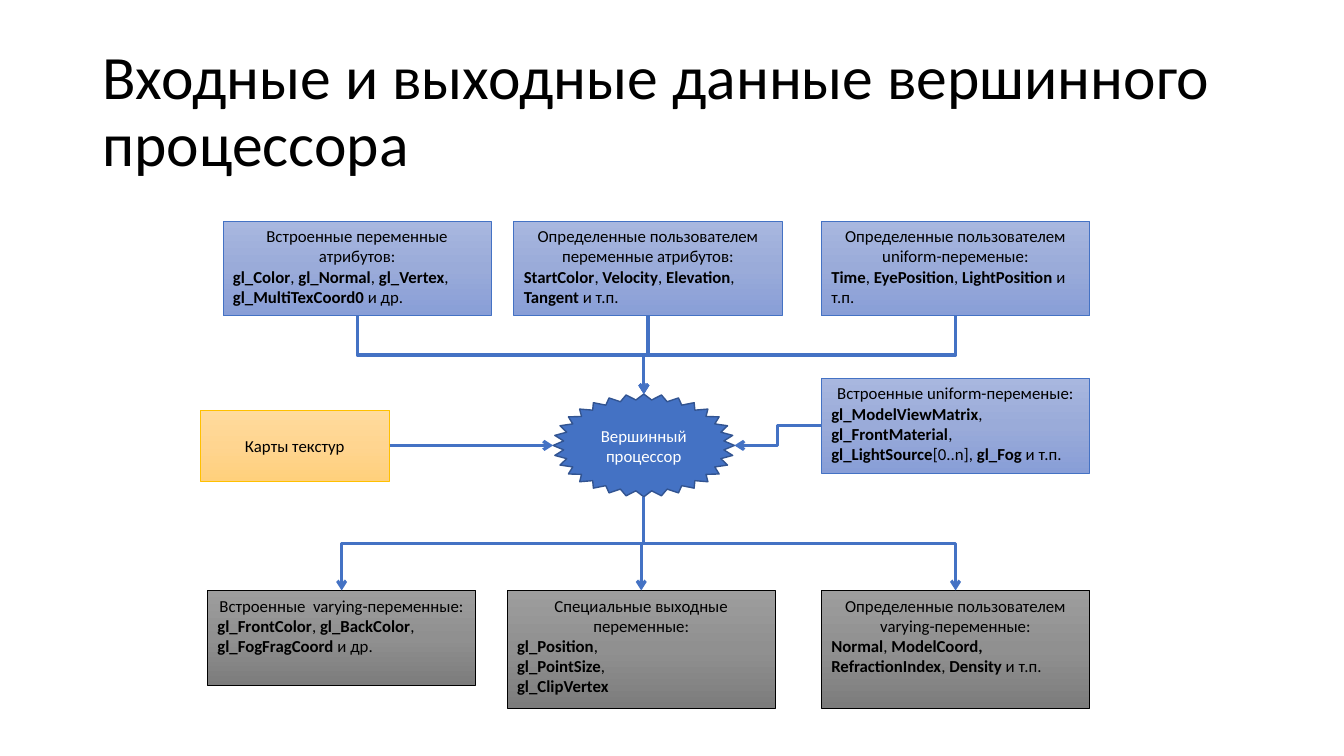
import copy

import pptx
import pptx.dml.color
import pptx.enum.shapes
import pptx.enum.text
import pptx.oxml.ns
import pptx.oxml.xmlchemy
import pptx.util

Cm = pptx.util.Cm
Pt = pptx.util.Pt
SHAPES = pptx.enum.shapes.MSO_SHAPE
ALIGN = pptx.enum.text.PP_ALIGN
ANCHOR = pptx.enum.text.MSO_ANCHOR
qn = pptx.oxml.ns.qn
new_element = pptx.oxml.xmlchemy.OxmlElement

# Colours: gradient from top to bottom, then outline
BLUE = {"stops": ("A8B7DF", "9AABD9", "889ED7"), "line": "4472C4"}
GREY = {"stops": ("9D9D9D", "909090", "7C7C7C"), "line": "000000"}
GOLD = {"stops": ("FFDB9E", "FFD590", "FFD07C"), "line": "FFC000"}
ACCENT = "4472C4"

BOX_WIDTH, BOX_HEIGHT, TALL_HEIGHT = 6.76, 2.39, 2.97
INPUT_TOP, UNIFORM_TOP, OUTPUT_TOP = 5.57, 9.53, 14.88
RIGHT_COLUMN = 20.7

# Left, height, style, heading, lines; asterisks enclose bold text
INPUTS = [
    (5.62, BOX_HEIGHT, BLUE, "Встроенные переменные атрибутов:",
     ["*gl_Color*, *gl_Normal*, *gl_Vertex*, *gl_MultiTexCoord0 *и др."]),
    (12.95, BOX_HEIGHT, BLUE, "Определенные пользователем переменные атрибутов:",
     ["*StartColor*, *Velocity*, *Elevation*, *Tangent *и т.п."]),
    (RIGHT_COLUMN, BOX_HEIGHT, BLUE, "Определенные пользователем uniform-переменые:",
     ["*Time*, *EyePosition*, *LightPosition *и т.п."]),
]
UNIFORM = (RIGHT_COLUMN, BOX_HEIGHT, BLUE, "Встроенные uniform-переменые:",
           ["*gl_ModelViewMatrix*, *gl_FrontMaterial*, "
            "*gl_LightSource*[0..n], *gl_Fog *и т.п."])
OUTPUTS = [
    (5.23, BOX_HEIGHT, GREY, "Встроенные  varying-переменные:",
     ["*gl_FrontColor*, *gl_BackColor*, *gl_FogFragCoord *и др."]),
    (12.78, TALL_HEIGHT, GREY, "Специальные выходные переменные:",
     ["*gl_Position*,", "*gl_PointSize*,", "*gl_ClipVertex*"]),
    (RIGHT_COLUMN, TALL_HEIGHT, GREY, "Определенные пользователем varying-переменные:",
     ["*Normal*, *ModelCoord, RefractionIndex*, *Density* и т.п."]),
]


def colour(value):
    return pptx.dml.color.RGBColor.from_string(value)


def apply_format(target, values):
    for name, value in values.items():
        setattr(target, name, value)


def write_paragraph(paragraph, text, text_colour="000000", size=12, **values):
    apply_format(paragraph, values)
    for index, part in enumerate(text.split("*")):
        if part:
            run = paragraph.add_run()
            run.text = part
            apply_format(run.font, {"name": "Calibri", "size": Pt(size),
                                    "bold": index % 2 == 1})
            run.font.color.rgb = colour(text_colour)


def add_block(slide, kind, left, top, width, height, line, line_width, anchor):
    shape = slide.shapes.add_shape(kind, Cm(left), Cm(top), Cm(width), Cm(height))
    shape.shadow.inherit = False
    shape.line.color.rgb = colour(line)
    shape.line.width = Pt(line_width)
    apply_format(shape.text_frame, {"word_wrap": True, "vertical_anchor": anchor})
    return shape


def fill_gradient(shape, stops):
    shape.fill.gradient()
    shape.fill.gradient_angle = 270
    stop_list = shape._element.spPr.find(".//" + qn("a:gsLst"))
    stop_list.insert(1, copy.deepcopy(stop_list[0]))
    for stop, value, position in zip(shape.fill.gradient_stops, stops, (0, 0.5, 1)):
        stop.color.rgb = colour(value)
        stop.position = position


def add_box(slide, top, content):
    left, height, style, heading, lines = content
    shape = add_block(slide, SHAPES.RECTANGLE, left, top, BOX_WIDTH, height,
                      style["line"], 0.5, ANCHOR.TOP)
    fill_gradient(shape, style["stops"])
    frame = shape.text_frame
    write_paragraph(frame.paragraphs[0], heading, alignment=ALIGN.CENTER)
    for line in lines:
        write_paragraph(frame.add_paragraph(), line, alignment=ALIGN.LEFT)
    return shape


def edge(shape, side):
    """Middle point of the given side of a shape."""
    across = {"left": 0, "right": 1}.get(side, 0.5)
    down = {"top": 0, "bottom": 1}.get(side, 0.5)
    return (int(shape.left + shape.width * across),
            int(shape.top + shape.height * down))


def add_arrow(slide, start, end, vertical=False):
    (x1, y1), (x2, y2) = start, end
    if vertical:
        # An elbow that leaves downwards is a horizontal one turned a quarter
        half_width, half_height = (y2 - y1) // 2, abs(x2 - x1) // 2
        middle_x, middle_y = (x1 + x2) // 2, (y1 + y2) // 2
        x1, x2 = middle_x - half_width, middle_x + half_width
        y1, y2 = middle_y - half_height, middle_y + half_height
    connector = slide.shapes.add_connector(
        pptx.enum.shapes.MSO_CONNECTOR.ELBOW, x1, y1, x2, y2)
    connector.line.color.rgb = colour(ACCENT)
    connector.line.width = Pt(2.25)
    properties = connector._element.spPr
    if vertical:
        transform = properties.find(qn("a:xfrm"))
        to_right = end[0] > start[0]
        transform.set("rot", str((270 if to_right else 90) * 60000))
        if to_right:
            transform.set("flipH", "1")
    head = new_element("a:tailEnd")
    head.set("type", "arrow")
    properties.find(qn("a:ln")).append(head)
    properties.append(new_element("a:effectLst"))


def add_title(slide, text):
    title = slide.shapes.title
    apply_format(title, {"left": Cm(2.33), "top": Cm(1.01),
                         "width": Cm(29.21), "height": Cm(3.68)})
    apply_format(title.text_frame, {
        "word_wrap": True, "vertical_anchor": ANCHOR.MIDDLE,
        "auto_size": pptx.enum.text.MSO_AUTO_SIZE.NONE})
    write_paragraph(title.text_frame.paragraphs[0], text, size=44,
                    alignment=ALIGN.LEFT, line_spacing=0.9)


def main():
    presentation = pptx.Presentation()
    presentation.slide_width = Cm(33.87)
    presentation.slide_height = Cm(19.05)
    slide = presentation.slides.add_slide(presentation.slide_layouts[5])
    add_title(slide, "Входные и выходные данные вершинного процессора")

    # Processor in the centre
    processor = add_block(slide, SHAPES.STAR_32_POINT, 13.94, 9.93, 4.57, 2.59,
                          "325491", 1, ANCHOR.MIDDLE)
    processor.adjustments[0] = 0.444
    processor.fill.solid()
    processor.fill.fore_color.rgb = colour(ACCENT)
    write_paragraph(processor.text_frame.paragraphs[0], "Вершинный процессор",
                    "FFFFFF", alignment=ALIGN.CENTER)

    # Boxes around it
    inputs = [add_box(slide, INPUT_TOP, content) for content in INPUTS]
    uniform = add_box(slide, UNIFORM_TOP, UNIFORM)
    outputs = [add_box(slide, OUTPUT_TOP, content) for content in OUTPUTS]
    textures = add_block(slide, SHAPES.RECTANGLE, 5.04, 10.34, 4.78, 1.78,
                         GOLD["line"], 0.5, ANCHOR.MIDDLE)
    fill_gradient(textures, GOLD["stops"])
    write_paragraph(textures.text_frame.paragraphs[0], "Карты текстур",
                    alignment=ALIGN.CENTER)

    # Data flow
    for box in inputs:
        add_arrow(slide, edge(box, "bottom"), edge(processor, "top"), vertical=True)
    add_arrow(slide, edge(uniform, "left"), edge(processor, "right"))
    add_arrow(slide, edge(textures, "right"), edge(processor, "left"))
    for box in outputs:
        add_arrow(slide, edge(processor, "bottom"), edge(box, "top"), vertical=True)

    presentation.save("out.pptx")


if __name__ == "__main__":
    main()
